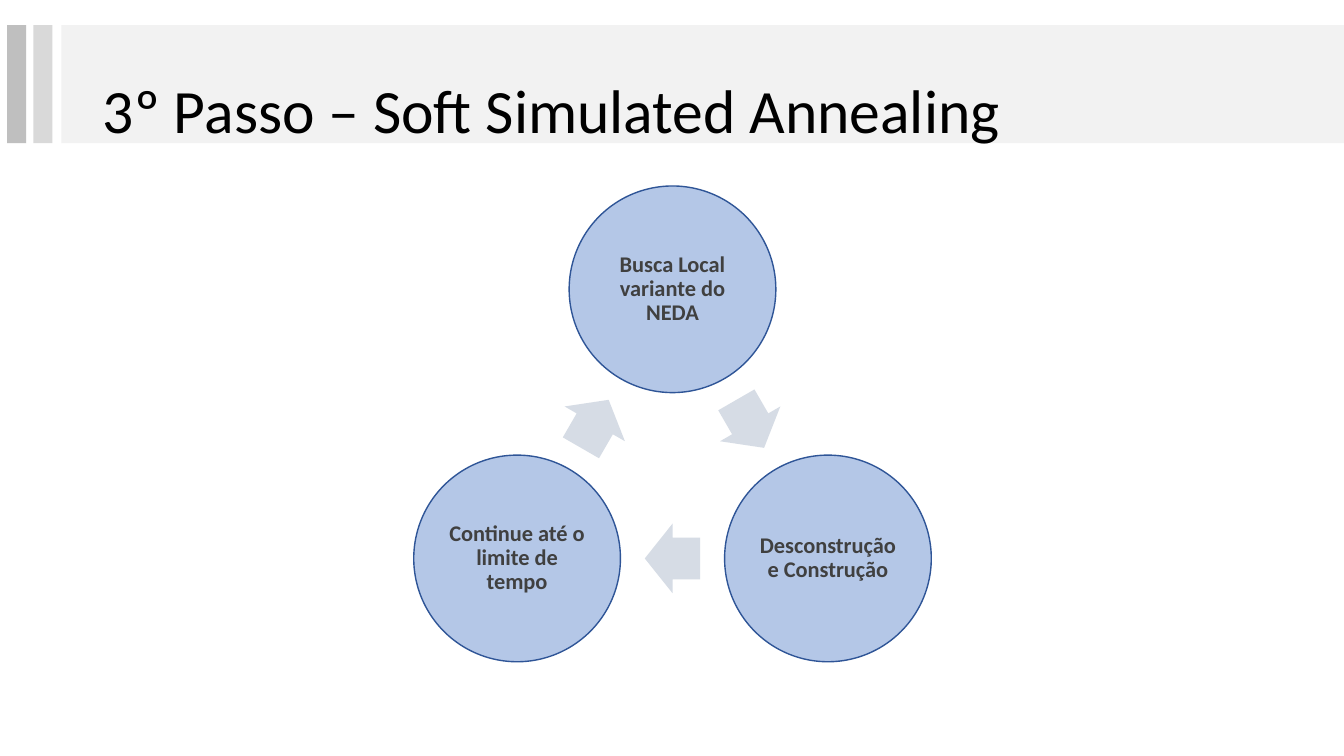
import math

import pptx
import pptx.dml.color
import pptx.enum.shapes
import pptx.enum.text
import pptx.util

Inches = pptx.util.Inches
Pt = pptx.util.Pt
Shape = pptx.enum.shapes.MSO_SHAPE
Align = pptx.enum.text.PP_ALIGN

COLOURS = {
    "title": "000000",
    "step_text": "404040",
    "step_fill": "B4C7E7",
    "step_line": "2F5597",
    "arrow": "D6DCE5",
    "band": "F2F2F2",
    "light_bar": "D9D9D9",
    "dark_bar": "BFBFBF",
}


class CycleSlide:
    """Style and drawing methods for a titled slide with a cycle of steps."""

    font = "Calibri"
    line_spacing = 0.9

    def __init__(self, presentation):
        self.slide = presentation.slides.add_slide(presentation.slide_layouts[5])

    def colour(self, key):
        return pptx.dml.color.RGBColor.from_string(COLOURS[key])

    def shape(self, preset, left, top, width, height, fill, line=None):
        item = self.slide.shapes.add_shape(
            preset, Inches(left), Inches(top), Inches(width), Inches(height))
        item.shadow.inherit = False
        item.fill.solid()
        item.fill.fore_color.rgb = self.colour(fill)
        if line:
            item.line.color.rgb = self.colour(line)
            item.line.width = Pt(1)
        else:
            item.line.fill.background()
        return item

    def add_text(self, frame, text, size, colour, align, bold=False):
        frame.word_wrap = True
        frame.auto_size = pptx.enum.text.MSO_AUTO_SIZE.NONE
        frame.vertical_anchor = pptx.enum.text.MSO_ANCHOR.MIDDLE
        paragraph = frame.paragraphs[0]
        paragraph.alignment = align
        paragraph.line_spacing = self.line_spacing
        run = paragraph.add_run()
        run.text = text
        run.font.name = self.font
        run.font.size = Pt(size)
        run.font.bold = bold
        run.font.color.rgb = self.colour(colour)

    def title(self, text, left, top, width, height):
        heading = self.slide.shapes.title
        heading.left, heading.top = Inches(left), Inches(top)
        heading.width, heading.height = Inches(width), Inches(height)
        self.add_text(heading.text_frame, text, 44, "title", Align.LEFT)
        heading.element.getparent().append(heading.element)

    def step(self, text, x, y, diameter):
        circle = self.shape(Shape.OVAL, x - diameter / 2, y - diameter / 2,
                            diameter, diameter, "step_fill", "step_line")
        frame = circle.text_frame
        frame.margin_left = frame.margin_right = Inches(0.02)
        frame.margin_top = frame.margin_bottom = Inches(0.02)
        self.add_text(frame, text, 16, "step_text", Align.CENTER, bold=True)

    def arrow(self, x, y, rotation, width=0.55, height=0.69):
        arrow = self.shape(Shape.RIGHT_ARROW, x - width / 2, y - height / 2,
                           width, height, "arrow")
        arrow.adjustments[0] = 0.6
        arrow.adjustments[1] = 0.5
        arrow.rotation = rotation

    def cycle(self, steps, x, y, radius, diameter):
        turn = 360 / len(steps)
        arrow_radius = radius * math.cos(math.radians(turn / 2))
        for index, text in enumerate(steps):
            angle = index * turn - 90
            step_angle = math.radians(angle)
            arrow_angle = math.radians(angle + turn / 2)
            self.step(text, x + radius * math.cos(step_angle),
                      y + radius * math.sin(step_angle), diameter)
            self.arrow(x + arrow_radius * math.cos(arrow_angle),
                       y + arrow_radius * math.sin(arrow_angle),
                       (angle + turn / 2 + 90) % 360)


def main():
    presentation = pptx.Presentation()
    presentation.slide_width = Inches(13.33)
    presentation.slide_height = Inches(7.5)

    page = CycleSlide(presentation)
    for left, width, fill in ((0.61, 12.72, "band"),
                              (0.33, 0.19, "light_bar"),
                              (0.07, 0.19, "dark_bar")):
        page.shape(Shape.RECTANGLE, left, 0.25, width, 1.17, fill)
    page.title("3º Passo – Soft Simulated Annealing", 0.92, 0.4, 11.5, 1.45)
    page.cycle(("Busca Local variante do NEDA",
                "Desconstrução e Construção",
                "Continue até o limite de tempo"),
               x=6.67, y=4.65, radius=1.78, diameter=2.05)

    presentation.save("out.pptx")


if __name__ == "__main__":
    main()
